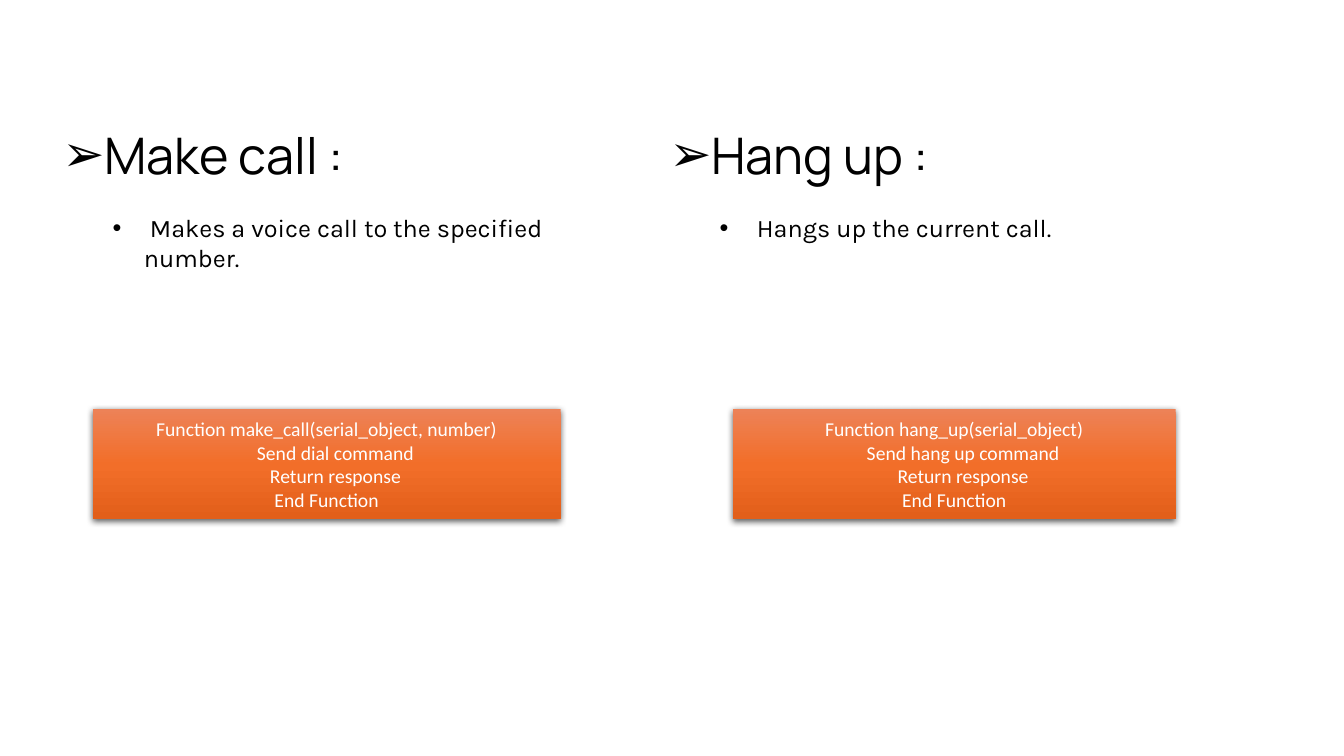
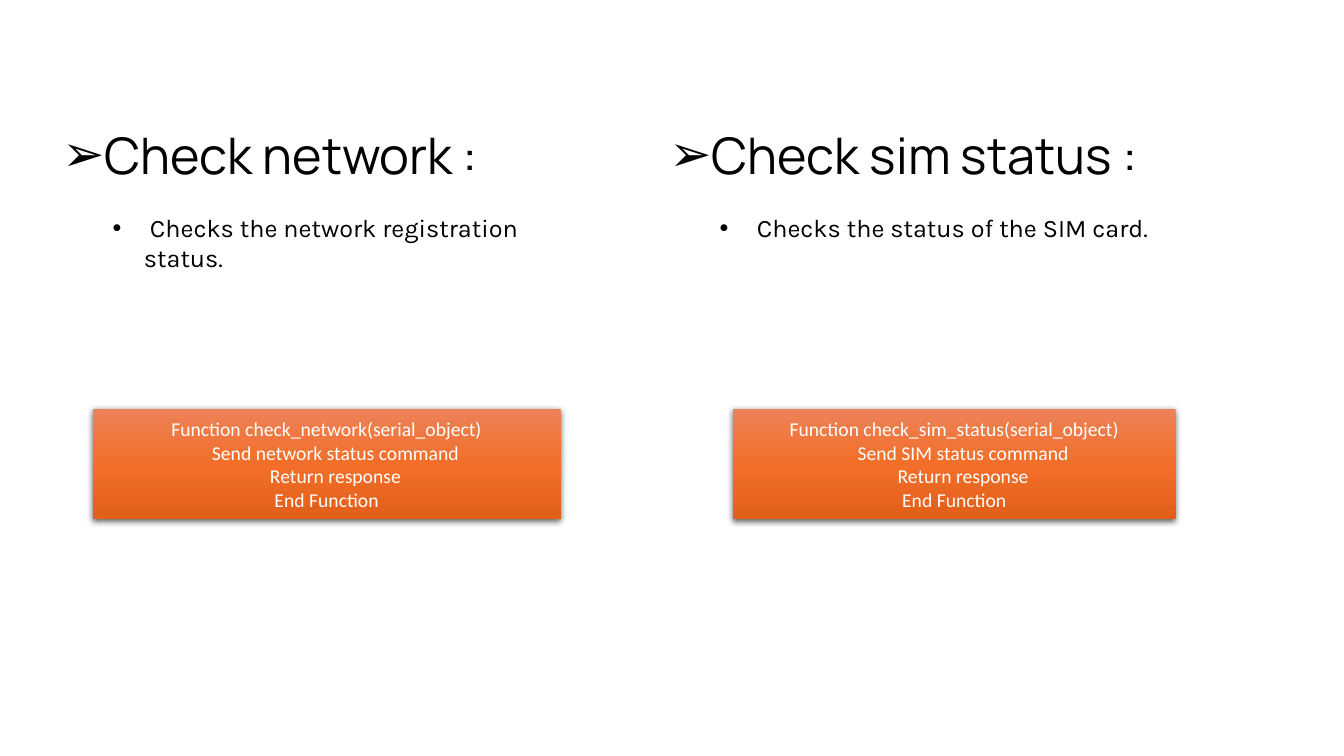
"""Builds two slides that describe modem functions with their pseudocode."""
import pptx
import pptx.dml.color
import pptx.enum.shapes
import pptx.enum.text
import pptx.oxml
import pptx.oxml.ns
import pptx.util

Inches, Pt = pptx.util.Inches, pptx.util.Pt
RGBColor = pptx.dml.color.RGBColor

SLIDES = [
    [
        ("Make call :", " Makes a voice call to the specified number.",
         "make_call(serial_object, number)", "dial"),
        ("Hang up :", " Hangs up the current call.",
         "hang_up(serial_object)", "hang up"),
    ],
    [
        ("Check network :", " Checks the network registration status.",
         "check_network(serial_object)", "network status"),
        ("Check sim status :", " Checks the status of the SIM card.",
         "check_sim_status(serial_object)", "SIM status"),
    ],
]

BLACK = RGBColor(0x00, 0x00, 0x00)
WHITE = RGBColor(0xFF, 0xFF, 0xFF)
ORANGE_STOPS = [
    (0, RGBColor(0xED, 0x82, 0x57)),
    (50, RGBColor(0xF2, 0x6E, 0x29)),
    (100, RGBColor(0xE2, 0x5F, 0x1A)),
]

COLUMNS = [
    {"text_left": 0.52, "code_left": 0.92, "code_width": 4.64},
    {"text_left": 6.54, "code_left": 7.27, "code_width": 4.39},
]
TEXT_TOP, TEXT_WIDTH, TEXT_HEIGHT = 1.18, 5.44, 1.31
CODE_TOP, CODE_HEIGHT = 4.06, 1.09
HANGING = 0.31


def drawing_xml(tag, body):
    return pptx.oxml.parse_xml(
        f'<a:{tag} {pptx.oxml.ns.nsdecls("a")}>{body}</a:{tag}>')


def style(paragraph, font, size, color):
    paragraph.font.name = font
    paragraph.font.size = Pt(size)
    paragraph.font.color.rgb = color


def add_bullet(paragraph, symbol, margin):
    properties = paragraph._p.get_or_add_pPr()
    properties.set("marL", str(Inches(margin)))
    properties.set("indent", str(-Inches(HANGING)))
    properties.append(pptx.oxml.parse_xml(
        f'<a:buFont {pptx.oxml.ns.nsdecls("a")} typeface="Arial"/>'))
    properties.append(pptx.oxml.parse_xml(
        f'<a:buChar {pptx.oxml.ns.nsdecls("a")} char="{symbol}"/>'))


def add_description(slide, column, title, summary):
    frame = slide.shapes.add_textbox(
        Inches(column["text_left"]), Inches(TEXT_TOP),
        Inches(TEXT_WIDTH), Inches(TEXT_HEIGHT)).text_frame
    frame.word_wrap = True
    frame.text = f"{title}\n{summary}"
    heading, detail = frame.paragraphs
    add_bullet(heading, "➢", HANGING)
    style(heading, "Manrope", 36, BLACK)
    detail.level = 1
    detail.space_before = Pt(20)
    add_bullet(detail, "•", HANGING + 0.5)
    style(detail, "Karla", 18, BLACK)


def paint_code_box(box):
    box.line.fill.background()
    properties = box._element.spPr
    stops = "".join(
        f'<a:gs pos="{position * 1000}"><a:srgbClr val="{color}"/></a:gs>'
        for position, color in ORANGE_STOPS)
    properties.ln.addprevious(drawing_xml(
        "gradFill", f'<a:gsLst>{stops}</a:gsLst><a:lin ang="5400000" scaled="0"/>'))
    properties.append(drawing_xml(
        "effectLst",
        f'<a:outerShdw blurRad="{Pt(4.5)}" dist="{Pt(1.5)}" dir="5400000" '
        f'algn="ctr" rotWithShape="0"><a:srgbClr val="{BLACK}">'
        '<a:alpha val="63000"/></a:srgbClr></a:outerShdw>'))


def add_code(slide, column, signature, command):
    box = slide.shapes.add_shape(
        pptx.enum.shapes.MSO_SHAPE.RECTANGLE,
        Inches(column["code_left"]), Inches(CODE_TOP),
        Inches(column["code_width"]), Inches(CODE_HEIGHT))
    paint_code_box(box)
    box.text_frame.word_wrap = True
    box.text_frame.text = "\n".join([
        f"Function {signature}",
        f"    Send {command} command",
        "    Return response",
        "End Function",
    ])
    for line in box.text_frame.paragraphs:
        line.alignment = pptx.enum.text.PP_ALIGN.CENTER
        style(line, "Calibri", 14, WHITE)


def main():
    deck = pptx.Presentation()
    deck.slide_width, deck.slide_height = Inches(13.33), Inches(7.5)
    for functions in SLIDES:
        slide = deck.slides.add_slide(deck.slide_layouts[6])
        for column, (title, summary, signature, command) in zip(COLUMNS, functions):
            add_code(slide, column, signature, command)
            add_description(slide, column, title, summary)
    deck.save("out.pptx")


if __name__ == "__main__":
    main()
